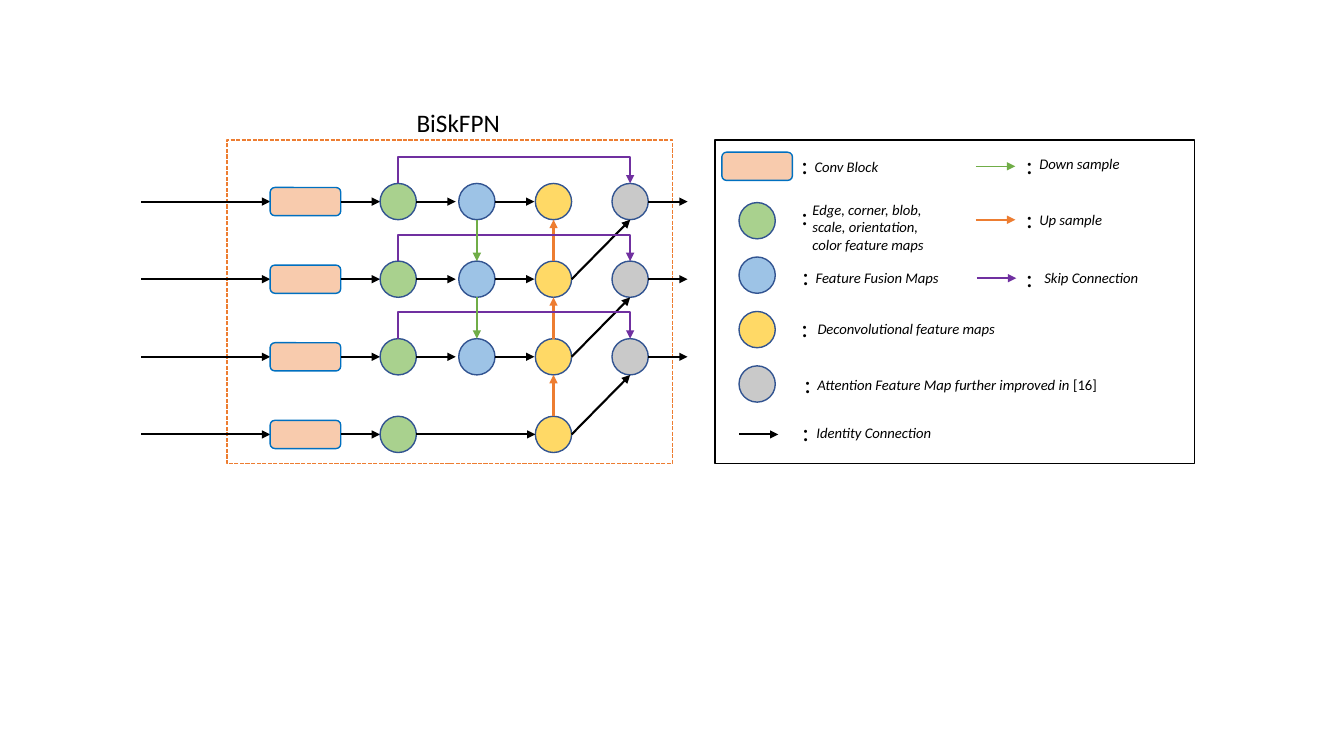
from lxml import etree
from pptx import Presentation
from pptx.dml.color import RGBColor
from pptx.enum.dml import MSO_LINE
from pptx.enum.shapes import MSO_CONNECTOR, MSO_SHAPE
from pptx.enum.text import MSO_ANCHOR, MSO_AUTO_SIZE, PP_ALIGN
from pptx.oxml.ns import qn
from pptx.util import Emu, Pt

PX = 9144
RECT, ROUNDED, OVAL = MSO_SHAPE.RECTANGLE, MSO_SHAPE.ROUNDED_RECTANGLE, MSO_SHAPE.OVAL
STRAIGHT, DASHED = MSO_CONNECTOR.STRAIGHT, MSO_LINE.SQUARE_DOT
TOP, CENTER = MSO_ANCHOR.TOP, PP_ALIGN.CENTER
GROW, FIXED = MSO_AUTO_SIZE.SHAPE_TO_FIT_TEXT, MSO_AUTO_SIZE.NONE

BLACK = RGBColor(0x00, 0x00, 0x00)
WHITE = RGBColor(0xFF, 0xFF, 0xFF)
PEACH = RGBColor(0xF8, 0xCB, 0xAD)
BLOCK_BLUE = RGBColor(0x00, 0x70, 0xC0)
NODE_EDGE = RGBColor(0x32, 0x54, 0x91)
FEATURE_GREEN = RGBColor(0xA9, 0xD1, 0x8E)
FUSION_BLUE = RGBColor(0x9D, 0xC3, 0xE6)
DECONV_YELLOW = RGBColor(0xFF, 0xD9, 0x66)
ATTENTION_GRAY = RGBColor(0xC9, 0xC9, 0xC9)
DOWN_GREEN = RGBColor(0x70, 0xAD, 0x47)
UP_ORANGE = RGBColor(0xED, 0x7D, 0x31)
SKIP_PURPLE = RGBColor(0x70, 0x30, 0xA0)

BLOCK_W, BLOCK_H = 70, 28
RADIUS = 18
ARROW = 39
NETWORK_BOX = (225, 139, 442, 321)
LEGEND_BOX = (709, 139, 476, 321)
TITLE_BOX = (403, 101, 103, 40)


def px(*lengths):
    """Turn px lengths into EMU."""
    return [Emu(length * PX) for length in lengths]


def set_all(target, formats):
    """Set each attribute of the target from the dict."""
    for key, value in formats.items():
        setattr(target, key, value)


def add_figure(slide, kind, box, fill, edge):
    """Add a preset shape with a thin outline."""
    figure = slide.shapes.add_shape(kind, *px(*box))
    figure.shadow.inherit = False
    if fill is None:
        figure.fill.background()
    else:
        figure.fill.solid()
        figure.fill.fore_color.rgb = fill
    figure.line.color.rgb = edge
    figure.line.width = Pt(1)
    return figure


def add_block(slide, left, middle):
    """Add a conv block by its left edge and middle height."""
    box = (left, middle - BLOCK_H // 2, BLOCK_W, BLOCK_H)
    add_figure(slide, ROUNDED, box, PEACH, BLOCK_BLUE)


def add_node(slide, x, y, fill):
    """Add a feature map circle around its centre."""
    box = (x - RADIUS, y - RADIUS, 2 * RADIUS, 2 * RADIUS)
    add_figure(slide, OVAL, box, fill, NODE_EDGE)


def finish_arrow(arrow, color, weight):
    """Colour a line and put an arrowhead on its end."""
    arrow.line.color.rgb = color
    arrow.line.width = Pt(weight)
    outline = arrow.element.spPr.find(qn("a:ln"))
    etree.SubElement(outline, qn("a:tailEnd"), type="triangle")


def add_arrow(slide, start, end, color=BLACK, weight=1.5):
    """Add a straight arrow between two points."""
    arrow = slide.shapes.add_connector(STRAIGHT, *px(*start, *end))
    finish_arrow(arrow, color, weight)
    etree.SubElement(arrow.element.spPr, qn("a:effectLst"))


def add_skip(slide, start_x, end_x, y, rise=26):
    """Add a skip connection that goes up, across and down."""
    route = slide.shapes.build_freeform(start_x, y, scale=PX)
    corners = [(start_x, y - rise), (end_x, y - rise), (end_x, y)]
    route.add_line_segments(corners, close=False)
    skip = route.convert_to_shape()
    skip.shadow.inherit = False
    skip.fill.background()
    finish_arrow(skip, SKIP_PURPLE, 1.5)


def write_run(paragraph, text, size, italic):
    """Add one formatted run to a paragraph."""
    run = paragraph.add_run()
    run.text = text
    set_all(run.font, {"name": "Calibri", "size": Pt(size), "italic": italic, "bold": False})
    run.font.color.rgb = BLACK


def add_label(slide, box, text, size=10.5, italic=True, citation=""):
    """Add a text box with one paragraph per line and an upright citation."""
    frame = slide.shapes.add_textbox(*px(*box)).text_frame
    set_all(frame, {"word_wrap": False, "auto_size": GROW})
    for number, line in enumerate(text.split("\n")):
        paragraph = frame.add_paragraph() if number else frame.paragraphs[0]
        write_run(paragraph, line, size, italic)
    if citation:
        write_run(paragraph, citation, size, False)


def add_title(slide, box):
    """Place and format the title."""
    title = slide.shapes.title
    set_all(title, dict(zip(("left", "top", "width", "height"), px(*box))))
    frame = title.text_frame
    set_all(frame, {"word_wrap": False, "auto_size": FIXED, "vertical_anchor": TOP})
    frame.paragraphs[0].alignment = CENTER
    write_run(frame.paragraphs[0], "BiSkFPN", 18, False)


def add_network(slide, box):
    """Draw the four-level feature pyramid in its dashed frame."""
    left, top = box[:2]
    frame = add_figure(slide, RECT, box, None, UP_ORANGE)
    frame.line.dash_style = DASHED
    block = left + 43
    feature, fusion, deconv, attention = [left + x for x in (170, 248, 324, 400)]
    levels = [top + 61 + 77 * number for number in range(4)]

    for y in levels:
        add_arrow(slide, (left - 85, y), (block, y))
        add_block(slide, block, y)
        add_arrow(slide, (block + BLOCK_W, y), (feature - RADIUS, y))
        add_node(slide, feature, y, FEATURE_GREEN)
        add_node(slide, deconv, y, DECONV_YELLOW)

    for y in levels[:-1]:
        add_node(slide, fusion, y, FUSION_BLUE)
        add_node(slide, attention, y, ATTENTION_GRAY)
        for x in (feature, fusion, attention):
            add_arrow(slide, (x + RADIUS, y), (x + RADIUS + ARROW, y))
    add_arrow(slide, (feature + RADIUS, levels[-1]), (deconv - RADIUS, levels[-1]))

    for upper, lower in zip(levels, levels[1:]):
        add_arrow(slide, (deconv + RADIUS, lower), (attention, upper + RADIUS))
        add_arrow(slide, (deconv, lower - RADIUS), (deconv, upper + RADIUS), UP_ORANGE)
        add_skip(slide, feature, attention, upper - RADIUS)
    for upper, lower in zip(levels[:2], levels[1:]):
        add_arrow(slide, (fusion, upper + RADIUS), (fusion, lower - RADIUS), DOWN_GREEN)


def add_legend(slide, box):
    """Draw the framed key of symbols and their meanings."""
    left, top = box[:2]
    add_figure(slide, RECT, box, WHITE, BLACK)
    add_block(slide, left + 7, top + 26)
    nodes = (FEATURE_GREEN, FUSION_BLUE, DECONV_YELLOW, ATTENTION_GRAY)
    for number, fill in enumerate(nodes, 1):
        add_node(slide, left + 42, top + 26 + 54 * number, fill)
    arrows = [(24, 292, BLACK, 1.5), (259, 26, DOWN_GREEN, 1),
              (259, 79, UP_ORANGE, 1.5), (260, 137, SKIP_PURPLE, 1.5)]
    for x, y, color, weight in arrows:
        start = (left + x, top + y)
        add_arrow(slide, start, (start[0] + ARROW, start[1]), color, weight)

    entries = [
        (76, 4, 89, 13, 85, 28, "Conv Block", ""),
        (76, 55, 87, 55, 138, 63, "Edge, corner, blob,\nscale, orientation,\ncolor feature maps", ""),
        (77, 114, 90, 123, 145, 28, "Feature Fusion Maps", ""),
        (76, 166, 92, 173, 199, 28, "Deconvolutional feature maps", ""),
        (79, 221, 92, 229, 303, 28, "Attention Feature Map further improved in ", "[16]"),
        (77, 269, 91, 277, 136, 28, "Identity Connection", ""),
        (299, 4, 312, 10, 101, 28, "Down sample", ""),
        (299, 58, 312, 65, 83, 28, "Up sample", ""),
        (299, 116, 317, 123, 115, 28, "Skip Connection", ""),
    ]
    for colon_x, colon_y, x, y, width, height, meaning, citation in entries:
        add_label(slide, (left + colon_x, top + colon_y, 27, 40), ":", 18, False)
        add_label(slide, (left + x, top + y, width, height), meaning, citation=citation)


def main():
    """Build the slide and save it."""
    deck = Presentation()
    deck.slide_width, deck.slide_height = px(1333, 750)
    slide = deck.slides.add_slide(deck.slide_layouts[5])
    add_title(slide, TITLE_BOX)
    add_network(slide, NETWORK_BOX)
    add_legend(slide, LEGEND_BOX)
    deck.save("out.pptx")


if __name__ == "__main__":
    main()
